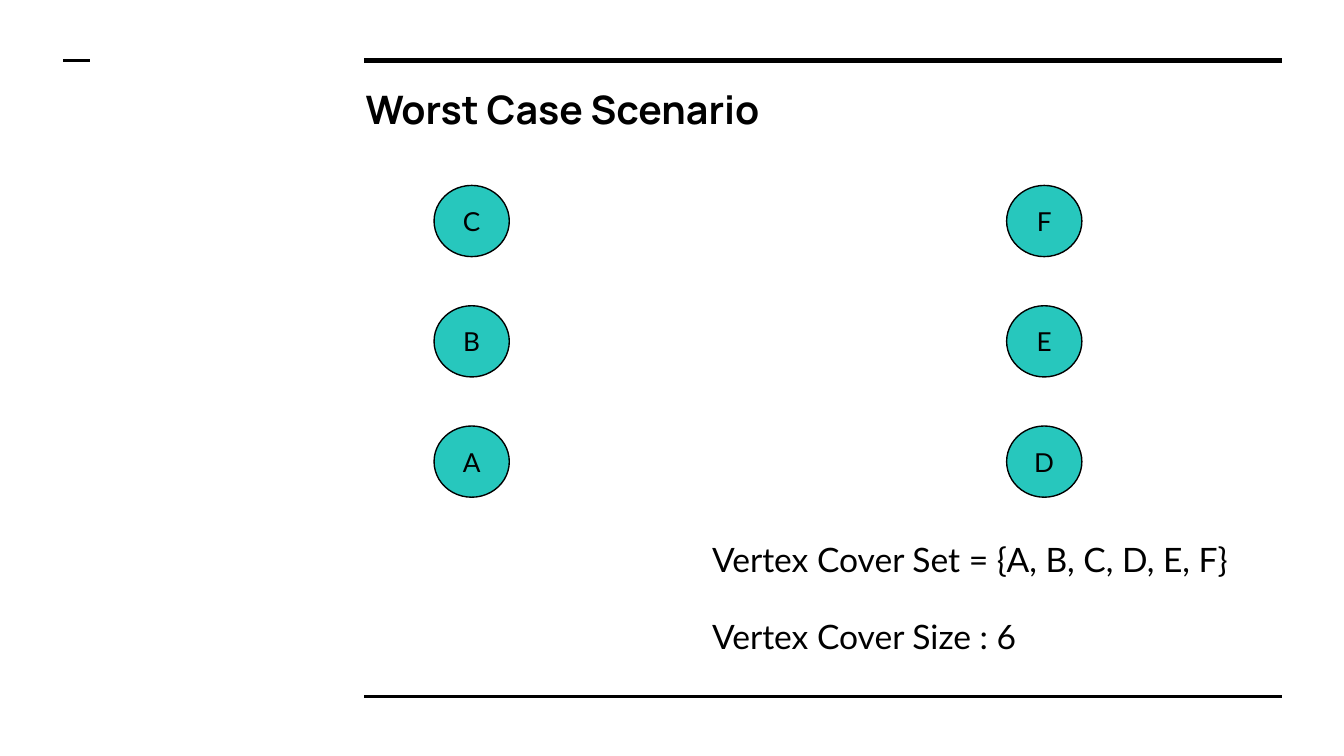
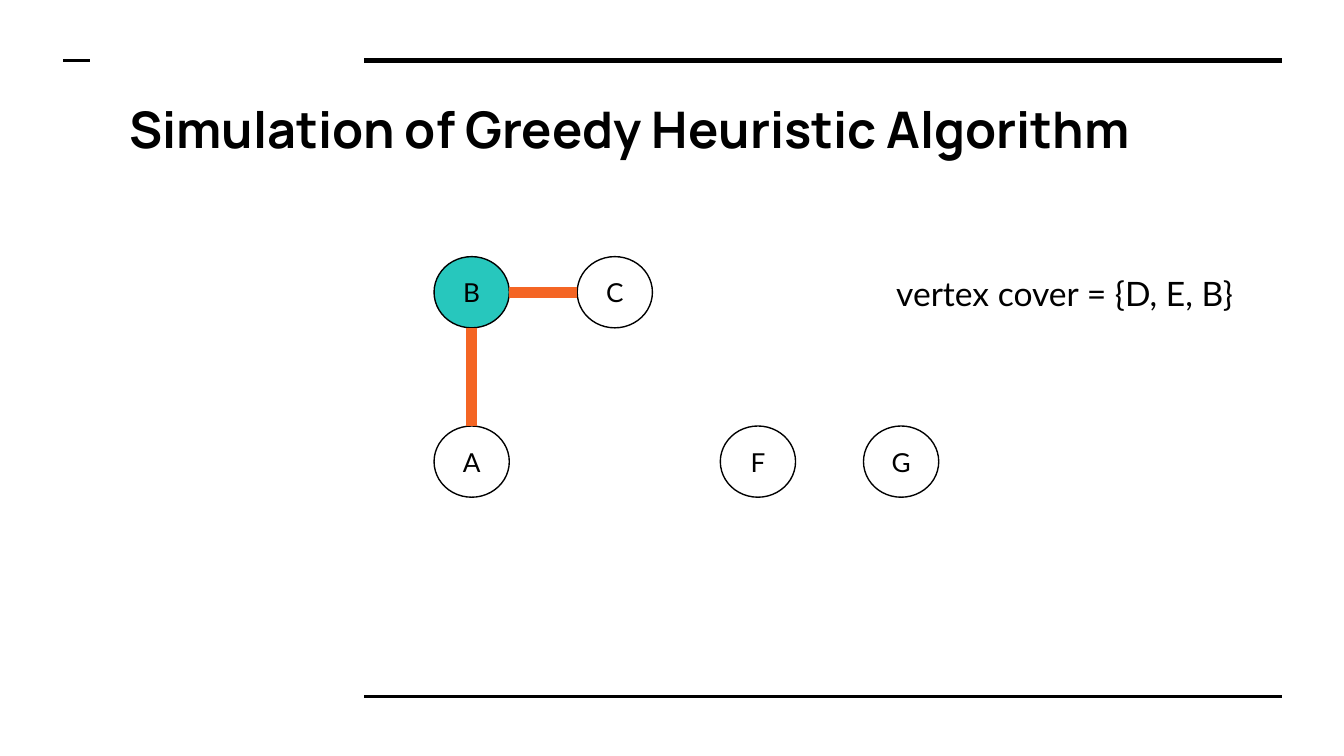
from dataclasses import dataclass

from lxml.etree import SubElement
from pptx import Presentation
from pptx.dml.color import RGBColor
from pptx.enum.shapes import MSO_CONNECTOR as Connector, MSO_SHAPE as Shape
from pptx.enum.text import MSO_ANCHOR as Anchor, MSO_AUTO_SIZE as AutoSize, PP_ALIGN as Align
from pptx.oxml.ns import qn
from pptx.util import Inches, Pt

# Shared style
SLIDE_WIDTH = 10
SLIDE_HEIGHT = SLIDE_WIDTH * 9 / 16
BLACK = RGBColor(0x00, 0x00, 0x00)
WHITE = RGBColor(0xFF, 0xFF, 0xFF)
TEAL = RGBColor(0x27, 0xC7, 0xBD)
ORANGE = RGBColor(0xF4, 0x65, 0x24)
TITLE_FONT = "Manrope"
BODY_FONT = "Lato"
TITLE_ONLY = 5

# Vertex grid
VERTEX_WIDTH, VERTEX_HEIGHT = 0.56, 0.53
FIRST_COLUMN, LAST_COLUMN = 3.23, 7.49
COLUMN_PITCH = (LAST_COLUMN - FIRST_COLUMN) / 4
TOP_ROW, BOTTOM_ROW = 1.38, 3.17
ROW_PITCH = (BOTTOM_ROW - TOP_ROW) / 2
CHAIN_ROW = 1.91


@dataclass(frozen=True)
class Rule:
    left: float
    right: float
    y: float
    weight: float


@dataclass(frozen=True)
class Heading:
    text: str
    left: float
    top: float
    width: float
    size: float
    line_spacing: float = 1.0
    space_after: float = 0


@dataclass(frozen=True)
class Vertex:
    label: str
    column: int
    top: float
    fill: RGBColor = WHITE

    @property
    def left(self) -> float:
        return FIRST_COLUMN + self.column * COLUMN_PITCH

    @property
    def middle(self) -> tuple[float, float]:
        return self.left + VERTEX_WIDTH / 2, self.top + VERTEX_HEIGHT / 2


@dataclass(frozen=True)
class Statement:
    text: str
    left: float
    top: float
    width: float


FRAME_RULES = (
    Rule(2.71, 9.54, 0.45, 3),
    Rule(2.71, 9.54, 5.18, 1.5),
    Rule(0.47, 0.67, 0.45, 1.5),
)


def add_line(slide, start: tuple[float, float], end: tuple[float, float],
             color: RGBColor, weight: float) -> None:
    line = slide.shapes.add_connector(
        Connector.STRAIGHT, *(Inches(value) for value in (*start, *end)))
    line.line.color.rgb = color
    line.line.width = Pt(weight)
    SubElement(line._element.spPr, qn("a:effectLst"))


def set_insets(frame) -> None:
    frame.margin_left = frame.margin_right = Inches(0.1)
    frame.margin_top = frame.margin_bottom = Inches(0.1)
    frame.word_wrap = True


def add_run(paragraph, text: str, font: str, size: float, bold: bool = False) -> None:
    run = paragraph.add_run()
    run.text = text
    run.font.name = font
    run.font.size = Pt(size)
    run.font.bold = bold
    run.font.color.rgb = BLACK


def add_framed_slide(deck, heading: Heading):
    slide = deck.slides.add_slide(deck.slide_layouts[TITLE_ONLY])
    slide.background.fill.solid()
    slide.background.fill.fore_color.rgb = WHITE
    for rule in FRAME_RULES:
        add_line(slide, (rule.left, rule.y), (rule.right, rule.y), BLACK, rule.weight)

    title = slide.shapes.title
    title.left, title.top = Inches(heading.left), Inches(heading.top)
    title.width, title.height = Inches(heading.width), Inches(0.69)
    frame = title.text_frame
    set_insets(frame)
    frame.auto_size = AutoSize.NONE
    frame.vertical_anchor = Anchor.TOP
    paragraph = frame.paragraphs[0]
    paragraph.alignment = Align.LEFT
    paragraph.line_spacing = heading.line_spacing
    paragraph.space_before = Pt(0)
    paragraph.space_after = Pt(heading.space_after)
    add_run(paragraph, heading.text, TITLE_FONT, heading.size, bold=True)
    return slide


def add_vertex(slide, vertex: Vertex) -> None:
    circle = slide.shapes.add_shape(
        Shape.OVAL, Inches(vertex.left), Inches(vertex.top),
        Inches(VERTEX_WIDTH), Inches(VERTEX_HEIGHT))
    circle.shadow.inherit = False
    circle.fill.solid()
    circle.fill.fore_color.rgb = vertex.fill
    circle.line.color.rgb = BLACK
    circle.line.width = Pt(0.75)
    frame = circle.text_frame
    set_insets(frame)
    frame.vertical_anchor = Anchor.MIDDLE
    frame.paragraphs[0].alignment = Align.CENTER
    add_run(frame.paragraphs[0], vertex.label, BODY_FONT, 14)


def add_statement(slide, statement: Statement) -> None:
    box = slide.shapes.add_textbox(
        Inches(statement.left), Inches(statement.top),
        Inches(statement.width), Inches(0.5))
    set_insets(box.text_frame)
    box.text_frame.auto_size = AutoSize.SHAPE_TO_FIT_TEXT
    add_run(box.text_frame.paragraphs[0], statement.text, BODY_FONT, 18)


def build_worst_case(deck) -> None:
    slide = add_framed_slide(
        deck, Heading("Worst Case Scenario", 2.62, 0.48, 6.91, 21, 1.15, 12))
    # Two columns of covered vertices, lettered upwards
    for column, labels in ((0, "CBA"), (4, "FED")):
        for row, label in enumerate(labels):
            add_vertex(slide, Vertex(label, column, TOP_ROW + row * ROW_PITCH, TEAL))
    # Result
    add_statement(slide, Statement("Vertex Cover Set = {A, B, C, D, E, F}", 5.2, 3.91, 5.14))
    add_statement(slide, Statement("Vertex Cover Size : 6", 5.2, 4.48, 3))


def build_greedy_simulation(deck) -> None:
    slide = add_framed_slide(
        deck, Heading("Simulation of Greedy Heuristic Algorithm", 0.86, 0.63, 8.68, 27))
    # Remaining graph, with the chosen vertex filled
    chosen = Vertex("B", 0, CHAIN_ROW, TEAL)
    below = Vertex("A", 0, BOTTOM_ROW)
    beside = Vertex("C", 1, CHAIN_ROW)
    isolated = (Vertex("F", 2, BOTTOM_ROW), Vertex("G", 3, BOTTOM_ROW))
    for vertex in (chosen, below, beside, *isolated):
        add_vertex(slide, vertex)
    # Edges covered by the chosen vertex
    center_x, center_y = chosen.middle
    add_line(slide, (center_x, below.top), (center_x, chosen.top + VERTEX_HEIGHT), ORANGE, 6)
    add_line(slide, (chosen.left + VERTEX_WIDTH, center_y), (beside.left, center_y), ORANGE, 6)
    # Cover so far
    add_statement(slide, Statement("vertex cover = {D, E, B}", 6.57, 1.93, 2.84))


def main() -> None:
    deck = Presentation()
    deck.slide_width, deck.slide_height = Inches(SLIDE_WIDTH), Inches(SLIDE_HEIGHT)
    build_worst_case(deck)
    build_greedy_simulation(deck)
    deck.save("out.pptx")


if __name__ == "__main__":
    main()
